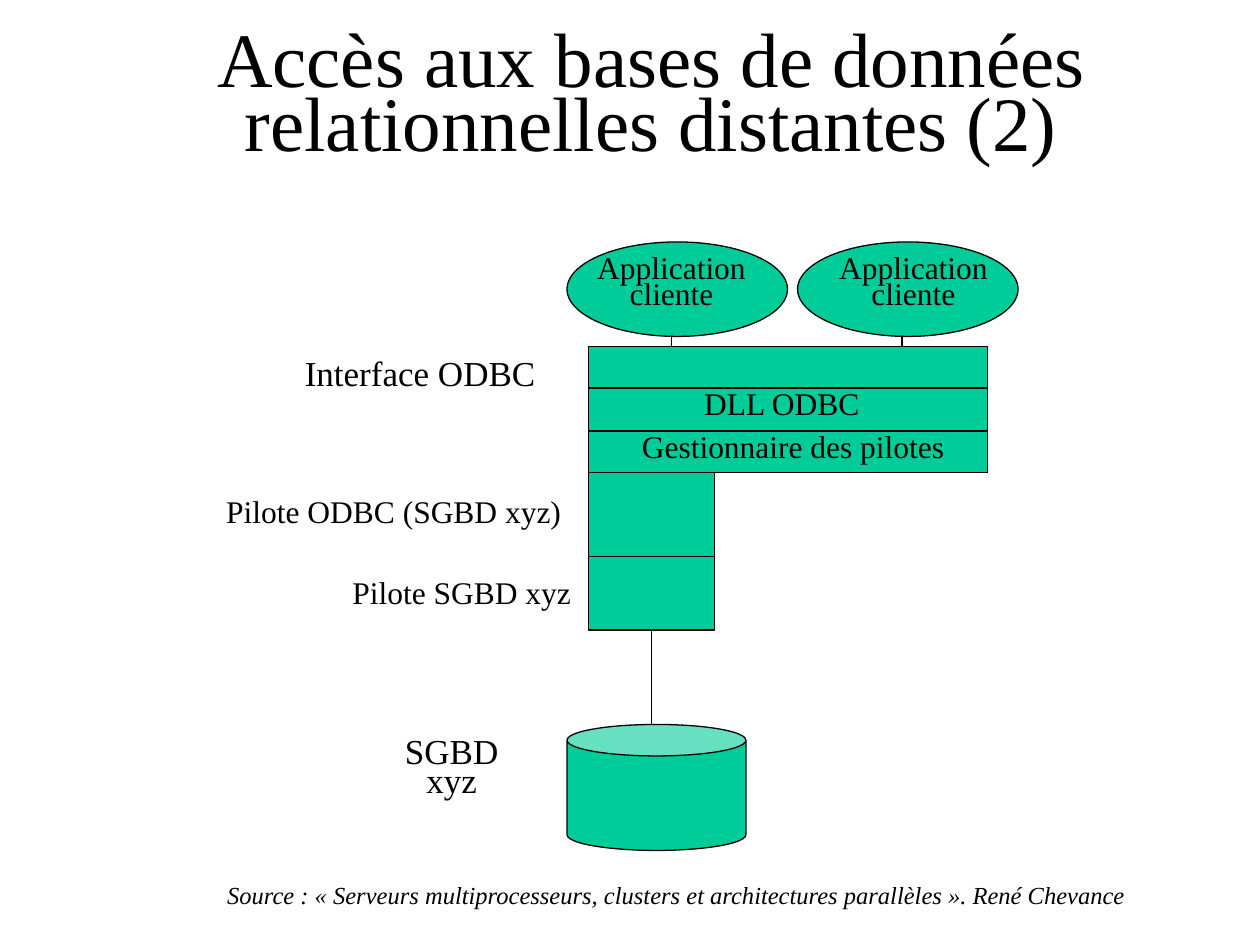
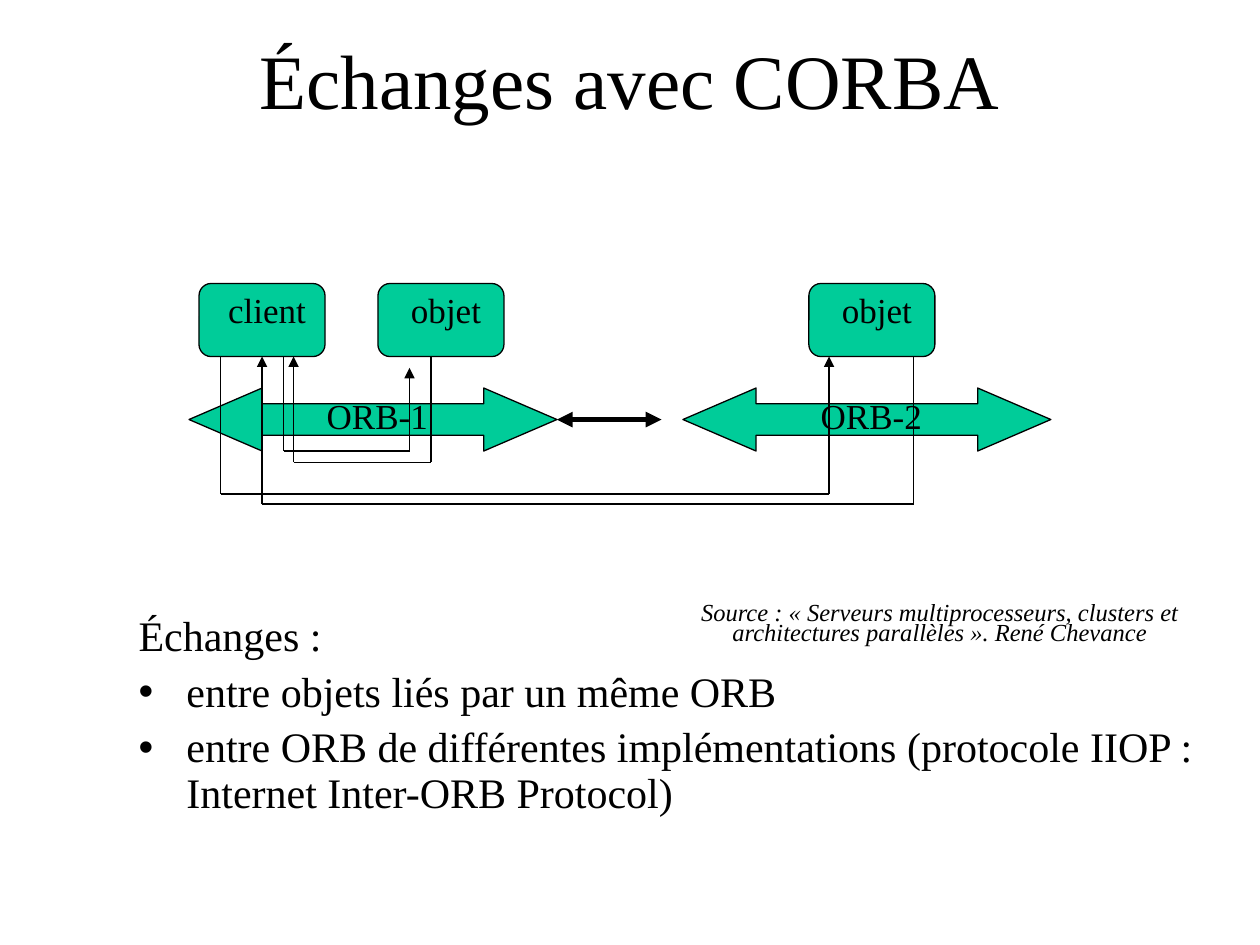
from dataclasses import dataclass

from lxml import etree
from pptx import Presentation
from pptx import util as u
from pptx.dml.color import RGBColor
from pptx.enum import shapes, text
from pptx.oxml.ns import qn


@dataclass(frozen=True)
class Theme:
    font: str = "Times New Roman"
    ink: RGBColor = RGBColor(0x00, 0x00, 0x00)
    fill: RGBColor = RGBColor(0x00, 0xCC, 0x99)
    title: int = 44
    body: int = 24
    label: int = 20
    small: int = 18
    source: int = 14
    tight: float = 0.7
    thin: float = 0.75
    thick: float = 3


@dataclass(frozen=True)
class Box:
    x: float
    y: float
    w: float
    h: float

    def inner(self, x, y, w, h):
        return Box(self.x + x, self.y + y, w, h)

    def point(self, x, y):
        return u.Inches(self.x + x), u.Inches(self.y + y)

    def emu(self):
        return [u.Inches(v) for v in (self.x, self.y, self.w, self.h)]


T = Theme()
SHAPE = shapes.MSO_SHAPE
SOURCE = ("Source : « Serveurs multiprocesseurs, clusters et architectures "
          "parallèles ». René Chevance")


def style_runs(p, size, italic=None):
    for r in p.runs:
        r.font.name = T.font
        r.font.size = u.Pt(size)
        r.font.italic = italic
        r.font.color.rgb = T.ink


def place(sp, box):
    sp.left, sp.top, sp.width, sp.height = box.emu()


def add_title(s, box, words, spacing=1.0):
    sp = s.shapes.title
    place(sp, box)
    tf = sp.text_frame
    tf.text = words
    tf.auto_size = text.MSO_AUTO_SIZE.NONE
    tf.vertical_anchor = text.MSO_ANCHOR.MIDDLE
    p = tf.paragraphs[0]
    p.alignment = text.PP_ALIGN.CENTER
    p.line_spacing = spacing
    style_runs(p, T.title)


def add_label(s, box, words, size, italic=None):
    tf = s.shapes.add_textbox(*box.emu()).text_frame
    tf.word_wrap = True
    tf.text = words
    p = tf.paragraphs[0]
    p.alignment = text.PP_ALIGN.CENTER
    p.line_spacing = T.tight
    p.space_before = u.Pt(size * 0.625)
    style_runs(p, size, italic)


def add_source(s, box):
    add_label(s, box, SOURCE, T.source, italic=True)


def add_block(s, kind, box, adjustments=()):
    sp = s.shapes.add_shape(kind, *box.emu())
    sp.shadow.inherit = False
    sp.fill.solid()
    sp.fill.fore_color.rgb = T.fill
    sp.line.color.rgb = T.ink
    sp.line.width = u.Pt(T.thin)
    for i, value in enumerate(adjustments):
        sp.adjustments[i] = value
    return sp


def add_line(s, box, start, end, width=T.thin, arrows=()):
    c = s.shapes.add_connector(shapes.MSO_CONNECTOR.STRAIGHT,
                               *box.point(*start), *box.point(*end))
    c.line.color.rgb = T.ink
    c.line.width = u.Pt(width)
    for name in arrows:
        etree.SubElement(c.line._get_or_add_ln(), qn(f"a:{name}"), type="triangle")
    etree.SubElement(c._element.spPr, qn("a:effectLst"))
    return c


def add_bullets(s, box, heading, items):
    sp = s.placeholders[1]
    place(sp, box)
    tf = sp.text_frame
    tf.auto_size = text.MSO_AUTO_SIZE.NONE
    tf.text = "\n".join([heading, *items])
    for i, p in enumerate(tf.paragraphs):
        p.line_spacing = 0.9
        p.space_before = u.Pt(6)
        pPr = p._p.get_or_add_pPr()
        pPr.set("marL", str(u.Inches(0.38)))
        pPr.set("indent", str(u.Inches(-0.38)))
        if i == 0:
            etree.SubElement(pPr, qn("a:buNone"))
        else:
            etree.SubElement(pPr, qn("a:buChar"), char="•")
        style_runs(p, T.body)


def add_clients(s, box):
    ellipses = (3.5, 5.33)
    for x in ellipses:
        add_block(s, SHAPE.OVAL, box.inner(x, 0, 1.75, 0.75))
    for x in (3.58, 5.5):
        add_label(s, box.inner(x, 0.08, 1.5, 0.52), "Application cliente", T.small)
    for x in ellipses:
        add_line(s, box, (x + 0.83, 0.75), (x + 0.83, 0.83))


def add_odbc_layers(s, box):
    add_block(s, SHAPE.RECTANGLE, box.inner(3.67, 0.83, 3.17, 1))
    for y in (0.83, 1.5):
        add_block(s, SHAPE.RECTANGLE, box.inner(3.67, y, 3.17, 0.33))
    add_label(s, box.inner(3.83, 1.16, 2.75, 0.31), "DLL ODBC", T.small)
    add_label(s, box.inner(3.92, 1.5, 2.75, 0.31), "Gestionnaire des pilotes", T.small)


def add_drivers_and_database(s, box):
    drivers = add_block(s, SHAPE.RECTANGLE, box.inner(3.67, 1.83, 1, 1.25))
    add_block(s, SHAPE.RECTANGLE, box.inner(3.67, 1.83, 1, 0.67))
    add_block(s, SHAPE.CAN, box.inner(3.5, 3.83, 1.42, 1), [0.25])
    link = add_line(s, box, (4.17, 3.08), (4.17, 3.83))
    link.begin_connect(drivers, 2)


def add_layer_names(s, box):
    for x, y, w, h, words, size in (
        (0.75, 0.91, 3.17, 0.34, "Interface ODBC", T.label),
        (0, 2.02, 4.25, 0.31, "Pilote ODBC (SGBD xyz)", T.small),
        (1.5, 2.66, 2.33, 0.31, "Pilote SGBD xyz", T.small),
        (1.92, 3.91, 1.33, 0.57, "SGBD xyz", T.label),
    ):
        add_label(s, box.inner(x, y, w, h), words, size)


def add_nodes(s, box):
    nodes = ((0.08, "client"), (1.5, "objet"), (4.92, "objet"))
    blocks = [add_block(s, SHAPE.ROUNDED_RECTANGLE, box.inner(x, 0, 1, 0.58), [0.167])
              for x, _ in nodes]
    for x, words in nodes:
        add_label(s, box.inner(x - 0.25, 0.08, 1.58, 0.34), words, T.label)
    return blocks[0]


def add_orbs(s, box):
    orbs = ((0, "ORB-1"), (3.92, "ORB-2"))
    for x, _ in orbs:
        add_block(s, SHAPE.LEFT_RIGHT_ARROW, box.inner(x, 0.83, 2.92, 0.5), [0.5, 1.161])
    for x, words in orbs:
        add_label(s, box.inner(x + 0.83, 0.92, 1.33, 0.34), words, T.label)
    add_line(s, box, (2.92, 1.08), (3.75, 1.08), T.thick, ("headEnd", "tailEnd"))


def add_route(s, box, x_from, x_to, depth, tip=0.58):
    add_line(s, box, (x_from, 0.58), (x_from, depth))
    add_line(s, box, (x_from, depth), (x_to, depth))
    return add_line(s, box, (x_to, depth), (x_to, tip), arrows=("tailEnd",))


def add_exchanges(s, box):
    client = add_nodes(s, box)
    add_orbs(s, box)
    add_route(s, box, 0.25, 5.08, 1.67)
    remote_reply = add_route(s, box, 5.75, 0.58, 1.75)
    remote_reply.end_connect(client, 2)
    add_route(s, box, 0.75, 1.75, 1.33, tip=0.67)
    add_route(s, box, 1.92, 0.83, 1.42)


def build_odbc_slide(prs):
    s = prs.slides.add_slide(prs.slide_layouts[5])
    add_title(s, Box(0.92, 0.17, 8.5, 1.25),
              "Accès aux bases de données relationnelles distantes (2)", T.tight)
    add_source(s, Box(0.83, 7, 9.08, 0.27))
    diagram = Box(1, 1.92, 7.08, 4.83)
    add_clients(s, diagram)
    add_odbc_layers(s, diagram)
    add_drivers_and_database(s, diagram)
    add_layer_names(s, diagram)


def build_corba_slide(prs):
    s = prs.slides.add_slide(prs.slide_layouts[1])
    add_title(s, Box(0.75, 0, 8.5, 1.25), "Échanges avec CORBA")
    add_bullets(s, Box(1, 4.83, 8.67, 2.5), "Échanges :", [
        "entre objets liés par un même ORB",
        "entre ORB de différentes implémentations "
        "(protocole IIOP : Internet Inter-ORB Protocol)",
    ])
    add_source(s, Box(5, 4.75, 4.92, 0.43))
    add_exchanges(s, Box(1.5, 2.25, 6.84, 1.75))


def main():
    prs = Presentation()
    prs.slide_width, prs.slide_height = u.Inches(10), u.Inches(7.5)
    build_odbc_slide(prs)
    build_corba_slide(prs)
    prs.save("out.pptx")


if __name__ == "__main__":
    main()
